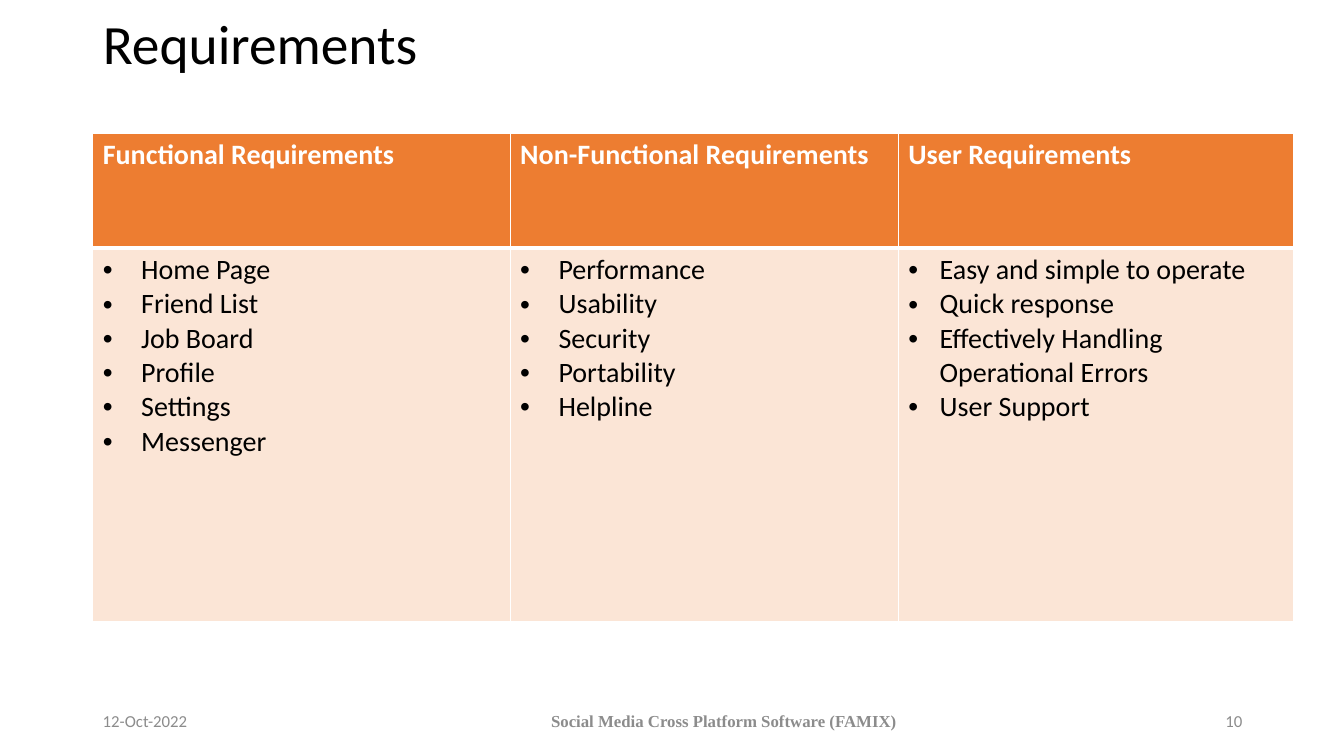
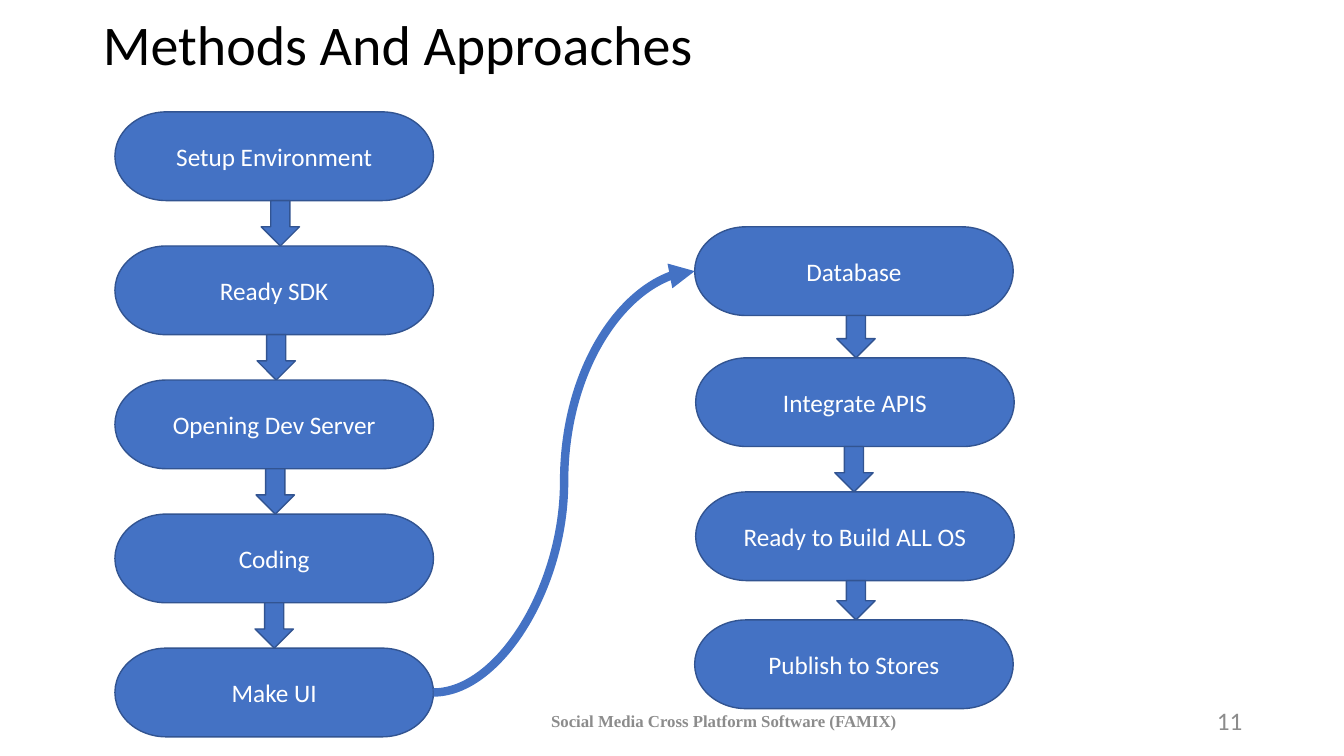
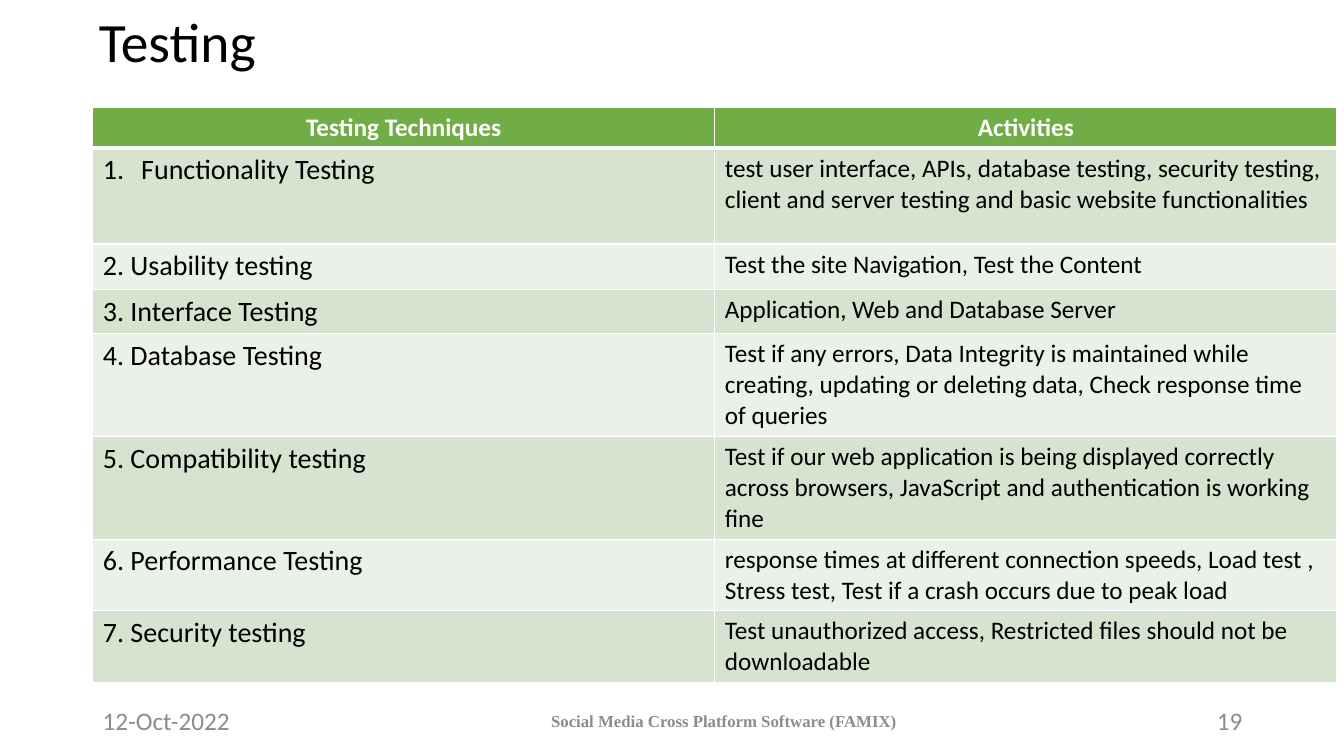
from lxml import etree
from pptx import Presentation
from pptx.dml.color import RGBColor
from pptx.enum.shapes import MSO_CONNECTOR, MSO_SHAPE
from pptx.enum.text import MSO_ANCHOR, MSO_AUTO_SIZE, PP_ALIGN
from pptx.oxml.ns import qn
from pptx.util import Inches, Pt

BLACK = RGBColor(0x00, 0x00, 0x00)
WHITE = RGBColor(0xFF, 0xFF, 0xFF)
GRAY = RGBColor(0x8C, 0x8C, 0x8C)
BLUE = RGBColor(0x44, 0x72, 0xC4)
NAVY = RGBColor(0x32, 0x54, 0x91)
ORANGE = RGBColor(0xED, 0x7D, 0x31)
PEACH = RGBColor(0xFB, 0xE5, 0xD6)
GREEN = RGBColor(0x70, 0xAD, 0x47)
SAGE = RGBColor(0xD5, 0xE3, 0xCF)
MIST = RGBColor(0xEB, 0xF1, 0xE9)

LEFT, CENTER, RIGHT = PP_ALIGN.LEFT, PP_ALIGN.CENTER, PP_ALIGN.RIGHT
MIDDLE = MSO_ANCHOR.MIDDLE
NO_FIT = MSO_AUTO_SIZE.NONE
PILL = MSO_SHAPE.FLOWCHART_TERMINATOR
ARROW = MSO_SHAPE.DOWN_ARROW
CURVE = MSO_CONNECTOR.CURVE

SANS, SERIF = "Calibri", "Times New Roman"
FOOTER = "Social Media Cross Platform Software (FAMIX)"
DATE = "12-Oct-2022"
PILL_W, PILL_H, ARROW_W = 3.16, 0.88, 0.38

NEEDS = [
    ("Functional Requirements", 0.38,
     ["Home Page", "Friend List", "Job Board", "Profile", "Settings", "Messenger"]),
    ("Non-Functional Requirements", 0.38,
     ["Performance", "Usability", "Security", "Portability", "Helpline"]),
    ("User Requirements", 0.31,
     ["Easy and simple to operate", "Quick response",
      "Effectively Handling Operational Errors", "User Support"]),
]
SETUP = [
    ("Setup Environment", 1.14, 1.11, 2.59),
    ("Ready SDK", 1.14, 2.44, 2.55),
    ("Opening Dev Server", 1.14, 3.77, 2.54),
    ("Coding", 1.14, 5.1, 2.53),
    ("Make UI", 1.14, 6.43, None),
]
BUILD = [
    ("Database", 6.89, 2.25, 8.3),
    ("Integrate APIS", 6.9, 3.55, 8.28),
    ("Ready to Build ALL OS", 6.9, 4.88, 8.3),
    ("Publish to Stores", 6.89, 6.15, None),
]
TESTS = [
    ("Functionality Testing",
     "test user interface, APIs, database testing, security testing, "
     "client and server testing and basic website functionalities"),
    ("2. Usability testing", "Test the site Navigation, Test the Content"),
    ("3. Interface Testing", "Application, Web and Database Server"),
    ("4. Database Testing",
     "Test if any errors, Data Integrity is maintained while creating, "
     "updating or deleting data, Check response time of queries"),
    ("5. Compatibility testing",
     "Test if our web application is being displayed correctly across "
     "browsers, JavaScript and authentication is working fine"),
    ("6. Performance Testing",
     "response times at different connection speeds, Load test , "
     "Stress test, Test if a crash occurs due to peak load"),
    ("7. Security testing",
     "Test unauthorized access, Restricted files should not be downloadable"),
]


class Deck:
    """Holds the shared style and the current slide."""

    def __init__(self):
        self.prs = Presentation()
        self.prs.slide_width = Inches(13.33)
        self.prs.slide_height = Inches(7.5)
        self.slide = None

    def start(self, title, box, size, number, small=18, date=True):
        self.slide = self.prs.slides.add_slide(self.prs.slide_layouts[5])
        head = self.slide.shapes.title
        head.left, head.top, head.width, head.height = map(Inches, box)
        frame = head.text_frame
        frame.auto_size, frame.vertical_anchor = NO_FIT, MIDDLE
        self.label(frame, [title], size)
        frame.paragraphs[0].line_spacing = 0.9
        if date:
            self.note(DATE, 0.92, 3, small, LEFT)
        self.note(FOOTER, 4.42, 5.52, 12, CENTER, SERIF, True)
        self.note(number, 9.42, 3, small, RIGHT)

    def label(self, frame, lines, size, color=BLACK, align=LEFT,
              face=SANS, bold=False, mark=None, indent=0):
        for i, line in enumerate(lines):
            para = frame.add_paragraph() if i else frame.paragraphs[0]
            para.text, para.alignment = line, align
            if mark:
                self.bullet(para, mark, indent)
            font = para.font
            font.name, font.size, font.bold = face, Pt(size), bold
            font.color.rgb = color

    def bullet(self, para, mark, indent):
        props = para._p.get_or_add_pPr()
        props.set("marL", str(Inches(indent)))
        props.set("indent", str(-Inches(indent)))
        if mark == "1.":
            etree.SubElement(props, qn("a:buAutoNum"), type="arabicPeriod")
        else:
            etree.SubElement(props, qn("a:buFont"), typeface="Arial")
            etree.SubElement(props, qn("a:buChar"), char=mark)

    def note(self, text, left, width, size, align, face=SANS, bold=False):
        box = self.slide.shapes.add_textbox(
            Inches(left), Inches(6.95), Inches(width), Inches(0.4))
        frame = box.text_frame
        frame.word_wrap, frame.vertical_anchor = True, MIDDLE
        self.label(frame, [text], size, GRAY, align, face, bold)

    def shape(self, kind, left, top, width, height):
        item = self.slide.shapes.add_shape(
            kind, Inches(left), Inches(top), Inches(width), Inches(height))
        item.shadow.inherit = False
        item.fill.solid()
        item.fill.fore_color.rgb = BLUE
        item.line.color.rgb = NAVY
        item.line.width = Pt(1)
        return item

    def flow(self, steps):
        pills = []
        for i, (text, left, top, mid) in enumerate(steps):
            pill = self.shape(PILL, left, top, PILL_W, PILL_H)
            pill.text_frame.vertical_anchor = MIDDLE
            self.label(pill.text_frame, [text], 18, WHITE, CENTER)
            pills.append(pill)
            if mid:
                base = top + PILL_H
                self.shape(ARROW, mid, base, ARROW_W, steps[i + 1][2] - base)
        return pills

    def curve(self, start, end):
        link = self.slide.shapes.add_connector(CURVE, 0, 0, 0, 0)
        link.begin_connect(start, 3)
        link.end_connect(end, 1)
        link.line.color.rgb = BLUE
        link.line.width = Pt(6)
        props = link._element.spPr
        etree.SubElement(props.get_or_add_ln(), qn("a:tailEnd"), type="triangle")
        etree.SubElement(props, qn("a:effectLst"))

    def table(self, left, top, cols, rows):
        frame = self.slide.shapes.add_table(
            len(rows), len(cols), Inches(left), Inches(top),
            Inches(sum(cols)), Inches(sum(rows)))
        grid = frame.table
        for col, width in zip(grid.columns, cols):
            col.width = Inches(width)
        for row, height in zip(grid.rows, rows):
            row.height = Inches(height)
        return grid

    def cell(self, grid, row, col, fill, lines, size, **style):
        cell = grid.cell(row, col)
        cell.fill.solid()
        cell.fill.fore_color.rgb = fill
        self.label(cell.text_frame, lines, size, **style)
        props = cell._tc.get_or_add_tcPr()
        for i, side in enumerate("LRTB"):
            thick = (row, side) in ((0, "B"), (1, "T"))
            edge = etree.Element(qn("a:ln" + side), w=str(Pt(3 if thick else 1)))
            paint = etree.SubElement(edge, qn("a:solidFill"))
            etree.SubElement(paint, qn("a:srgbClr"), val=str(WHITE))
            props.insert(i, edge)


def main():
    deck = Deck()

    deck.start("Requirements", (0.92, 0.15, 11.5, 0.63), 39.6, "10", 12)
    grid = deck.table(0.92, 1.32, [4.14, 3.85, 3.92], [1.14, 3.71])
    for col, (head, indent, items) in enumerate(NEEDS):
        deck.cell(grid, 0, col, ORANGE, [head], 20, color=WHITE, bold=True)
        deck.cell(grid, 1, col, PEACH, items, 20, mark="•", indent=indent)

    deck.start("Methods And Approaches", (0.92, 0.04, 11, 0.85), 40, "11", date=False)
    setup = deck.flow(SETUP)
    build = deck.flow(BUILD)
    deck.curve(setup[-1], build[0])

    deck.start("Testing", (0.88, 0.07, 10.9, 0.75), 39.6, "19")
    grid = deck.table(0.92, 1.07, [6.17, 6.17],
                      [0.4, 0.95, 0.45, 0.44, 1.02, 1.02, 0.71, 0.71])
    for col, head in enumerate(["Testing Techniques", "Activities"]):
        deck.cell(grid, 0, col, GREEN, [head], 18, color=WHITE, align=CENTER, bold=True)
    for row, (name, work) in enumerate(TESTS, 1):
        fill = SAGE if row % 2 else MIST
        mark = "1." if row == 1 else None
        deck.cell(grid, row, 0, fill, [name], 20, mark=mark, indent=0.38)
        deck.cell(grid, row, 1, fill, [work], 18)

    deck.prs.save("out.pptx")


if __name__ == "__main__":
    main()
